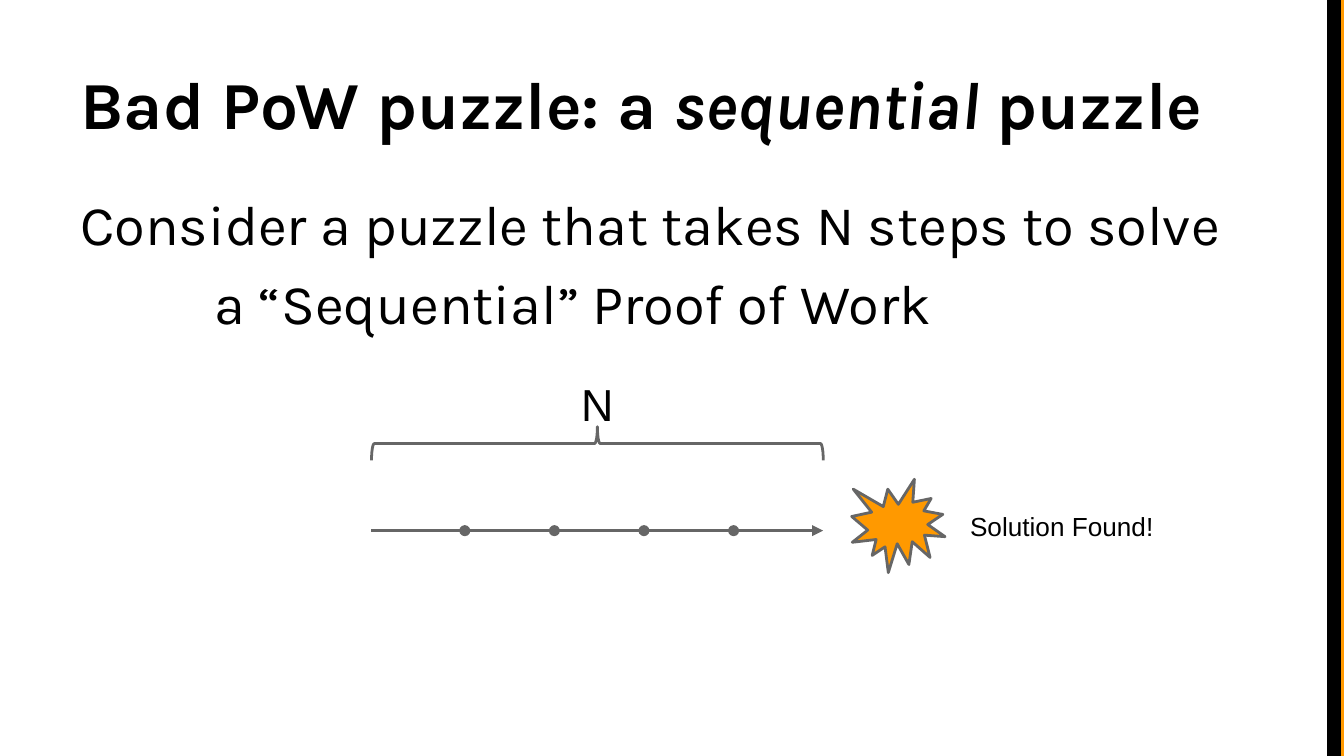
import pptx
import pptx.dml.color
import pptx.enum.shapes
import pptx.enum.text
import pptx.oxml
import pptx.oxml.ns
import pptx.util
from dataclasses import dataclass

Pt = pptx.util.Pt
MSO_SHAPE = pptx.enum.shapes.MSO_SHAPE
PP_ALIGN = pptx.enum.text.PP_ALIGN
MSO_ANCHOR = pptx.enum.text.MSO_ANCHOR


@dataclass(frozen=True)
class Theme:
    black: str = "000000"
    orange: str = "FF9900"
    gray: str = "666666"
    heading_font: str = "Karla"
    label_font: str = "Arial"
    title_size: float = 36
    body_size: float = 30
    count_size: float = 24
    label_size: float = 14
    line_width: float = 1.5


def rgb(color):
    return pptx.dml.color.RGBColor.from_string(color)


class SlideBuilder:
    def __init__(self, slide, theme):
        self.s = slide
        self.theme = theme

    def shape(self, kind, x, y, w, h, fill=None, line=None, rotation=0):
        sp = self.s.shapes.add_shape(kind, Pt(x), Pt(y), Pt(w), Pt(h))
        sp.shadow.inherit = False
        sp.rotation = rotation
        if fill:
            sp.fill.solid()
            sp.fill.fore_color.rgb = rgb(fill)
        else:
            sp.fill.background()
        if line:
            sp.line.color.rgb = rgb(line)
            sp.line.width = Pt(self.theme.line_width)
        else:
            sp.line.fill.background()
        return sp

    def text(self, x, y, w, h, paragraphs, font, size, bold=None,
             anchor=MSO_ANCHOR.TOP, align=PP_ALIGN.LEFT, space=0):
        sp = self.s.shapes.add_textbox(Pt(x), Pt(y), Pt(w), Pt(h))
        tf = sp.text_frame
        tf.word_wrap = True
        tf.vertical_anchor = anchor
        tf.margin_left = tf.margin_right = Pt(7.2)
        tf.margin_top = tf.margin_bottom = Pt(7.2)
        for i, (indent, runs) in enumerate(paragraphs):
            p = tf.paragraphs[0] if i == 0 else tf.add_paragraph()
            p.alignment = align
            if i:
                p.space_before = Pt(space)
            if indent:
                p._p.get_or_add_pPr().set("marL", str(Pt(indent)))
            p.font.name = font
            p.font.size = Pt(size)
            p.font.bold = bold
            p.font.color.rgb = rgb(self.theme.black)
            for content, italic in runs:
                r = p.add_run()
                r.text = content
                if italic:
                    r.font.italic = True
        return sp

    def line(self, x1, y1, x2, y2, head):
        cx = self.s.shapes.add_connector(
            pptx.enum.shapes.MSO_CONNECTOR.STRAIGHT, Pt(x1), Pt(y1), Pt(x2), Pt(y2))
        cx.line.color.rgb = rgb(self.theme.gray)
        cx.line.width = Pt(self.theme.line_width)
        ln = cx.line._get_or_add_ln()
        ln.append(pptx.oxml.parse_xml(
            f'<a:tailEnd {pptx.oxml.ns.nsdecls("a")} type="{head}"/>'))
        cx._element.spPr.append(pptx.oxml.parse_xml(
            f'<a:effectLst {pptx.oxml.ns.nsdecls("a")}/>'))
        return cx


def main():
    prs = pptx.Presentation()
    prs.slide_width, prs.slide_height = Pt(720), Pt(405)
    theme = Theme()
    b = SlideBuilder(prs.slides.add_slide(prs.slide_layouts[6]), theme)

    b.shape(MSO_SHAPE.RECTANGLE, 718.3, 0, 1.7, 405, theme.orange)
    b.shape(MSO_SHAPE.RECTANGLE, 710.9, 0, 7.4, 405, theme.black)

    b.text(36, 16.5, 648, 67.5,
           [(0, [("Bad PoW puzzle: a ", False), ("sequential", True), (" puzzle", False)])],
           theme.heading_font, theme.title_size, bold=True, anchor=MSO_ANCHOR.BOTTOM)
    b.text(36, 94.5, 648, 293,
           [(0, [("Consider a puzzle that takes N steps to solve", False)]),
            (72, [("a “Sequential” Proof of Work", False)])],
           theme.heading_font, theme.body_size, space=6)

    steps, start, pitch, length, y = 5, 199, 48, 50, 284.3
    for i in range(steps):
        x = start + i * pitch
        b.line(x, y, x + length, y, "triangle" if i == steps - 1 else "oval")

    b.shape(MSO_SHAPE.EXPLOSION1, 456.3, 256.8, 50, 50, theme.orange, theme.gray)
    b.text(512.6, 266.4, 121, 36, [(0, [("Solution Found!", False)])],
           theme.label_font, theme.label_size)

    span, depth = start + (steps - 1) * pitch + length - start, 18
    center_x, center_y = start + span / 2, 237.6
    brace = b.shape(MSO_SHAPE.LEFT_BRACE, center_x - depth / 2, center_y - span / 2,
                    depth, span, line=theme.gray, rotation=90)
    brace.adjustments[0] = 0.083
    b.text(center_x - 18, 194.4, 36, 36, [(0, [("N", False)])],
           theme.label_font, theme.count_size, align=PP_ALIGN.CENTER)

    prs.save("out.pptx")


if __name__ == "__main__":
    main()
